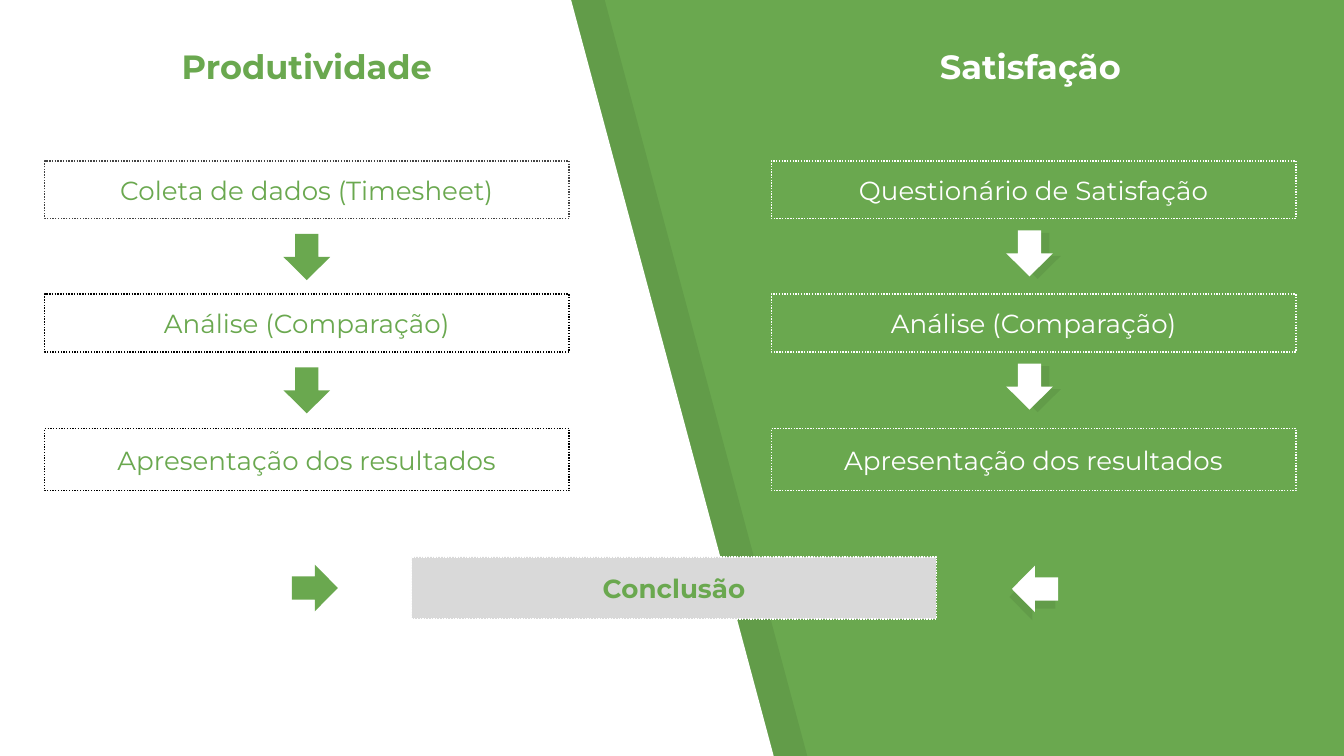
from pptx import Presentation
from pptx.dml.color import RGBColor
from pptx.enum.dml import MSO_LINE_DASH_STYLE as Dash
from pptx.enum.shapes import MSO_SHAPE as Shape
from pptx.enum.text import MSO_ANCHOR as Anchor, MSO_AUTO_SIZE as AutoSize, PP_ALIGN as Align
from pptx.oxml.ns import qn
from pptx.util import Pt
from lxml.etree import SubElement

GREEN = RGBColor(0x6A, 0xA8, 0x4F)
WHITE = RGBColor(0xFF, 0xFF, 0xFF)
BLACK = RGBColor(0x00, 0x00, 0x00)
CHARCOAL = RGBColor(0x43, 0x43, 0x43)
GRAY = RGBColor(0xD9, 0xD9, 0xD9)

FONT = "Montserrat"
LEFT_COLUMN, RIGHT_COLUMN, BOX_WIDTH = 23.9, 413.3, 281
STEP_ROWS = [(86.2, 31), (157.6, 31), (229.6, 33.4)]
ARROW_WIDTH, ARROW_HEIGHT = 24.7, 25
LEFT_STEPS = [
    ("Coleta de dados (Timesheet)", CHARCOAL),
    ("Análise (Comparação)", BLACK),
    ("Apresentação dos resultados", BLACK),
]
RIGHT_STEPS = [
    ("Questionário de Satisfação", WHITE),
    ("Análise (Comparação)", WHITE),
    ("Apresentação dos resultados", WHITE),
]


def paint(shape, color, alpha=None):
    """Give a shape a plain fill without outline, optionally translucent."""
    shape.shadow.inherit = False
    shape.fill.solid()
    shape.fill.fore_color.rgb = color
    shape.line.fill.background()
    if alpha is not None:
        color_element = shape.element.spPr.find(qn("a:solidFill")).find(qn("a:srgbClr"))
        SubElement(color_element, qn("a:alpha")).set("val", str(alpha * 1000))


def write(shape, text, size, color, bold=False):
    """Set centred one-line text in a shape."""
    text_frame = shape.text_frame
    text_frame.text = text
    text_frame.word_wrap = True
    text_frame.auto_size = AutoSize.NONE
    text_frame.vertical_anchor = Anchor.MIDDLE
    text_frame.margin_left = text_frame.margin_right = Pt(7.2)
    text_frame.margin_top = text_frame.margin_bottom = Pt(7.2)
    paragraph = text_frame.paragraphs[0]
    paragraph.alignment = Align.CENTER
    paragraph.space_before = Pt(0)
    font = paragraph.runs[0].font
    font.name, font.size, font.bold = FONT, Pt(size), bold
    font.color.rgb = color


def add_panel(slide, offset, color, alpha=None):
    """Draw the slanted panel, shifted right by the offset."""
    builder = slide.shapes.build_freeform(Pt(offset), Pt(-0.7), scale=1.0)
    corners = [(-0.7, 406), (414.8, 406), (306, 0)]
    builder.add_line_segments([(Pt(x + offset), Pt(y)) for x, y in corners])
    paint(builder.convert_to_shape(), color, alpha)


def add_box(slide, left, top, height, text, color, line_color, fill=None, bold=False):
    """Add a dotted box with its label."""
    box = slide.shapes.add_shape(Shape.RECTANGLE, Pt(left), Pt(top), Pt(BOX_WIDTH), Pt(height))
    if fill is None:
        box.fill.background()
        box.shadow.inherit = False
    else:
        paint(box, fill)
    box.line.color.rgb = line_color
    box.line.width = Pt(0.75)
    box.line.dash_style = Dash.ROUND_DOT
    write(box, text, 14, color, bold)


def add_arrow(shapes, left, top, rotation, color, alpha=None):
    """Add one block arrow."""
    arrow = shapes.add_shape(
        Shape.RIGHT_ARROW, Pt(left), Pt(top), Pt(ARROW_WIDTH), Pt(ARROW_HEIGHT)
    )
    arrow.rotation = rotation
    paint(arrow, color, alpha)


def add_shaded_arrow(slide, left, top, rotation, shade_x, shade_y):
    """Add a white arrow grouped with its translucent shade."""
    group = slide.shapes.add_group_shape()
    add_arrow(group.shapes, left + shade_x, top + shade_y, rotation, BLACK, 7)
    add_arrow(group.shapes, left, top, rotation, WHITE)


def place_heading(placeholder, left, text, color):
    """Format a placeholder as a column heading in front of the panels."""
    placeholder.left, placeholder.top = Pt(left), Pt(19.8)
    placeholder.width, placeholder.height = Pt(BOX_WIDTH), Pt(31)
    write(placeholder, text, 18, color, bold=True)
    placeholder.element.getparent().append(placeholder.element)


def main():
    """Build the slide and save it."""
    presentation = Presentation()
    presentation.slide_width, presentation.slide_height = Pt(720), Pt(405)
    slide = presentation.slides.add_slide(presentation.slide_layouts.get_by_name("Comparison"))
    slide.background.fill.solid()
    slide.background.fill.fore_color.rgb = GREEN

    add_panel(slide, 18, BLACK, 7)
    add_panel(slide, 0, WHITE)

    columns = [(LEFT_COLUMN, GREEN, LEFT_STEPS), (RIGHT_COLUMN, WHITE, RIGHT_STEPS)]
    for left, color, steps in columns:
        for (top, height), (text, line_color) in zip(STEP_ROWS, steps):
            add_box(slide, left, top, height, text, color, line_color)

    for top, _ in STEP_ROWS[:-1]:
        add_arrow(slide.shapes, 152, top + 39, 90, GREEN)
        add_shaded_arrow(slide, 539.2, top + 37, 90, 4.3, 1.4)
    add_arrow(slide.shapes, 156.3, 302.5, 0, GREEN)
    add_shaded_arrow(slide, 542.1, 303, 180, -1.4, 4.3)
    add_box(slide, 220.6, 298.4, 33.2, "Conclusão", GREEN, WHITE, GRAY, bold=True)

    headings = {placeholder.placeholder_format.idx: placeholder for placeholder in slide.placeholders}
    place_heading(headings.pop(0), LEFT_COLUMN, "Produtividade", GREEN)
    place_heading(headings.pop(3), 411.5, "Satisfação", WHITE)
    for placeholder in headings.values():
        placeholder.element.getparent().remove(placeholder.element)

    presentation.save("out.pptx")


if __name__ == "__main__":
    main()
